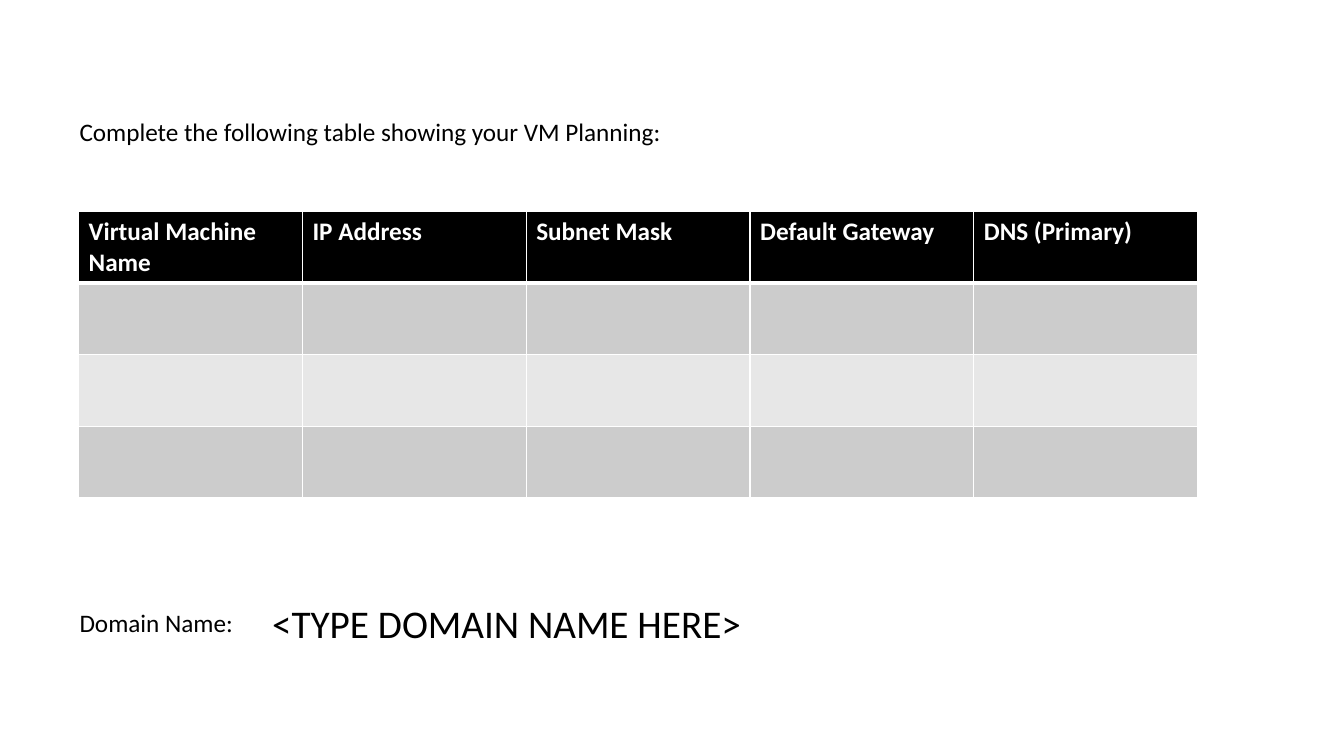
"""Build the VM planning slide with its address table and domain name line."""
from lxml.etree import SubElement
from pptx import Presentation
from pptx.dml.color import RGBColor
from pptx.oxml.ns import qn
from pptx.util import Inches, Pt

FONT = "Calibri"
BLACK, WHITE = "000000", "FFFFFF"
HEADINGS = ["Virtual Machine Name", "IP Address", "Subnet Mask", "Default Gateway", "DNS (Primary)"]
ROW_FILLS = [BLACK, "CCCCCC", "E7E7E7", "CCCCCC"]
TABLE_LEFT, TABLE_TOP, COLUMN_WIDTH, ROW_HEIGHT = 0.78, 2.1, 2.22, 0.71
LINES = [
    ("Complete the following table showing your VM Planning:", 18, (0.69, 1.11, 6.11, 0.4)),
    ("Domain Name:", 18, (0.69, 5.98, 1.78, 0.4)),
    ("<TYPE DOMAIN NAME HERE>", 28, (2.6, 5.9, 5.21, 0.57)),
]


def paint(color_format, value):
    color_format.rgb = RGBColor.from_string(value)


def write(frame, text, size, color, bold=False):
    frame.text = text
    font = frame.paragraphs[0].runs[0].font
    font.name, font.size, font.bold = FONT, Pt(size), bold
    paint(font.color, color)


def border(cell, side, width):
    properties = cell._tc.get_or_add_tcPr()
    line = SubElement(properties, qn(f"a:ln{side}"), w=str(Pt(width)))
    SubElement(SubElement(line, qn("a:solidFill")), qn("a:srgbClr"), val=WHITE)


def add_plan(slide):
    rows, columns = len(ROW_FILLS), len(HEADINGS)
    plan = slide.shapes.add_table(
        rows, columns, Inches(TABLE_LEFT), Inches(TABLE_TOP),
        Inches(COLUMN_WIDTH * columns), Inches(ROW_HEIGHT * rows)).table
    for column in plan.columns:
        column.width = Inches(COLUMN_WIDTH)
    for index, (row, fill) in enumerate(zip(plan.rows, ROW_FILLS)):
        row.height = Inches(ROW_HEIGHT)
        for cell in row.cells:
            for side in "LRTB":
                under_header = (index, side) in [(0, "B"), (1, "T")]
                border(cell, side, 3 if under_header else 1)
            cell.fill.solid()
            paint(cell.fill.fore_color, fill)
    for cell, heading in zip(plan.rows[0].cells, HEADINGS):
        write(cell.text_frame, heading, 18, WHITE, bold=True)


def main():
    deck = Presentation()
    deck.slide_width, deck.slide_height = Inches(13.33), Inches(7.5)
    slide = deck.slides.add_slide(deck.slide_layouts[6])
    add_plan(slide)
    for text, size, place in LINES:
        frame = slide.shapes.add_textbox(*map(Inches, place)).text_frame
        frame.word_wrap = True
        write(frame, text, size, BLACK)
    deck.save("out.pptx")


if __name__ == "__main__":
    main()
